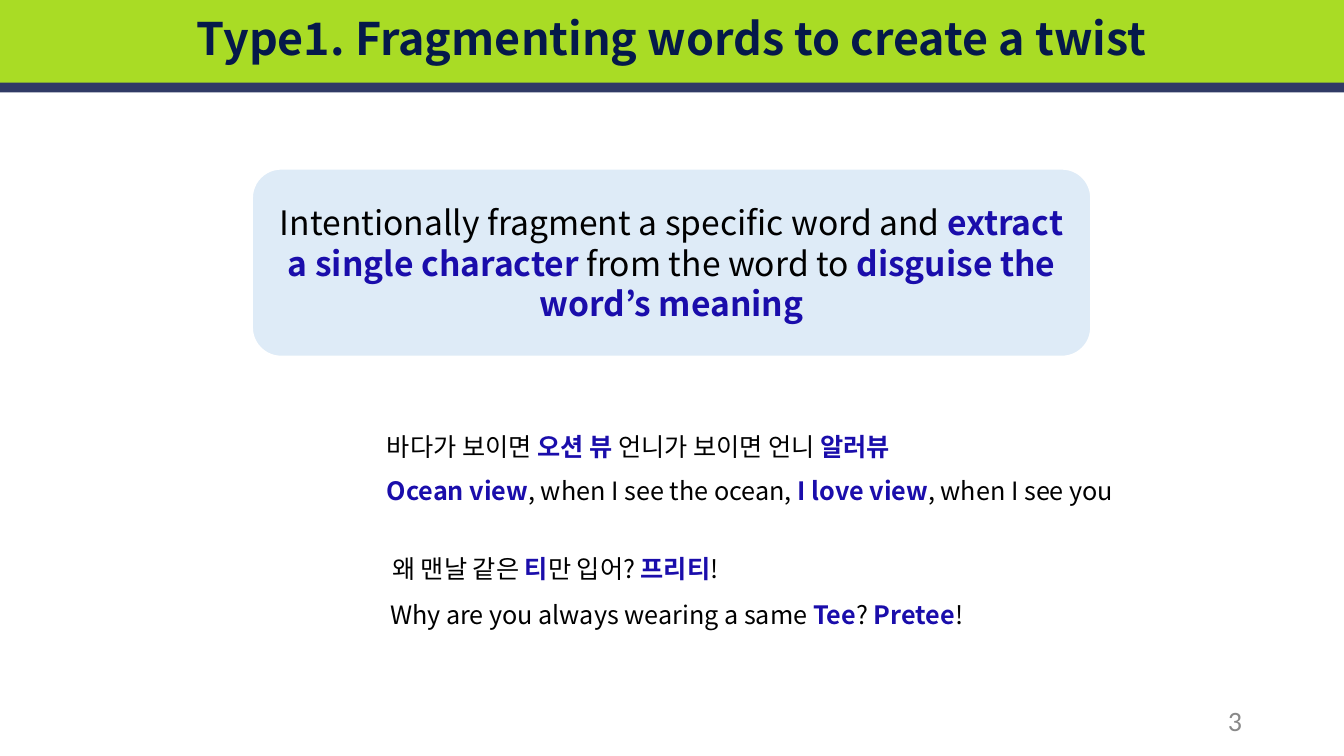
"""Build the slide on fragmenting words to create a twist."""
from dataclasses import dataclass

from lxml import etree
from pptx import Presentation
from pptx.dml.color import RGBColor
from pptx.enum import shapes, text
from pptx.oxml import ns
from pptx.util import Cm, Pt


@dataclass(frozen=True)
class Theme:
    font: str = "Noto Sans CJK KR"
    number_font: str = "Calibri"
    title_size: int = 32
    message_size: int = 24
    number_size: int = 20
    example_size: int = 18
    lime: str = "A9DC25"
    navy: str = "303A65"
    title: str = "05194A"
    panel: str = "DEEBF7"
    white: str = "FFFFFF"
    black: str = "000000"
    accent: str = "1A0DAB"
    grey: str = "898989"


theme = Theme()


def add_block(kind, left, top, width, height, fill):
    shape = slide.shapes.add_shape(kind, Cm(left), Cm(top), Cm(width), Cm(height))
    shape.shadow.inherit = False
    shape.fill.solid()
    shape.fill.fore_color.rgb = RGBColor.from_string(fill)
    shape.line.fill.background()
    return shape


def write(shape, wording, size, color=theme.black, accent=theme.accent, font=theme.font,
          align=text.PP_ALIGN.LEFT, anchor=text.MSO_ANCHOR.TOP, margin=0.13):
    """Write wording into a shape; parts between asterisks are bold in the accent colour."""
    frame = shape.text_frame
    frame.word_wrap = True
    frame.vertical_anchor = anchor
    frame.margin_left = frame.margin_right = Cm(0.25)
    frame.margin_top = frame.margin_bottom = Cm(margin)
    paragraph = frame.paragraphs[0]
    paragraph.alignment = align
    for index, part in enumerate(wording.split("*")):
        if part:
            strong = index % 2 == 1
            run = paragraph.add_run()
            run.text = part
            run.font.size = Pt(size)
            run.font.bold = strong
            run.font.color.rgb = RGBColor.from_string(accent if strong else color)
            run.font.name = font
            properties = run.font._element if hasattr(run.font, "_element") else run._r.get_or_add_rPr()
            etree.SubElement(properties, ns.qn("a:ea")).set("typeface", font)


presentation = Presentation()
presentation.slide_width = Cm(33.87)
presentation.slide_height = Cm(19.05)
slide = presentation.slides.add_slide(presentation.slide_layouts[6])

add_block(shapes.MSO_SHAPE.RECTANGLE, 0, 0, 33.87, 2.16, theme.lime)
add_block(shapes.MSO_SHAPE.RECTANGLE, 0, 2.08, 33.87, 0.25, theme.navy)
title = slide.shapes.add_textbox(Cm(0), Cm(0.15), Cm(33.87), Cm(1.63))
write(title, "*Type1. Fragmenting words to create a twist*", theme.title_size,
      accent=theme.title, align=text.PP_ALIGN.CENTER)

message = add_block(shapes.MSO_SHAPE.ROUNDED_RECTANGLE, 6.27, 4.17, 21.31, 4.9, theme.panel)
message.line.color.rgb = RGBColor.from_string(theme.white)
message.line.width = Pt(6)
write(message,
      "Intentionally fragment a specific word and *extract a single character* "
      "from the word to *disguise the word’s meaning*",
      theme.message_size, align=text.PP_ALIGN.CENTER, anchor=text.MSO_ANCHOR.MIDDLE, margin=0.25)

examples = [
    (9.5, 10.74, 16.28, "바다가 보이면 *오션 뷰 *언니가 보이면 언니 *알러뷰*"),
    (9.5, 11.86, 22.15, "*Ocean view*, when I see the ocean, *I love view*, when I see you"),
    (9.63, 13.82, 13.06, "왜 맨날 같은 *티*만 입어? *프리티*!"),
    (9.58, 14.96, 22.83, "Why are you always wearing a same *Tee*? *Pretee*!"),
]
for left, top, width, wording in examples:
    example = slide.shapes.add_textbox(Cm(left), Cm(top), Cm(width), Cm(1.02))
    write(example, wording, theme.example_size)

page_number = slide.shapes.add_textbox(Cm(23.93), Cm(17.65), Cm(7.62), Cm(1.02))
write(page_number, "3", theme.number_size, color=theme.grey, font=theme.number_font,
      align=text.PP_ALIGN.RIGHT, anchor=text.MSO_ANCHOR.MIDDLE)

presentation.save("out.pptx")
